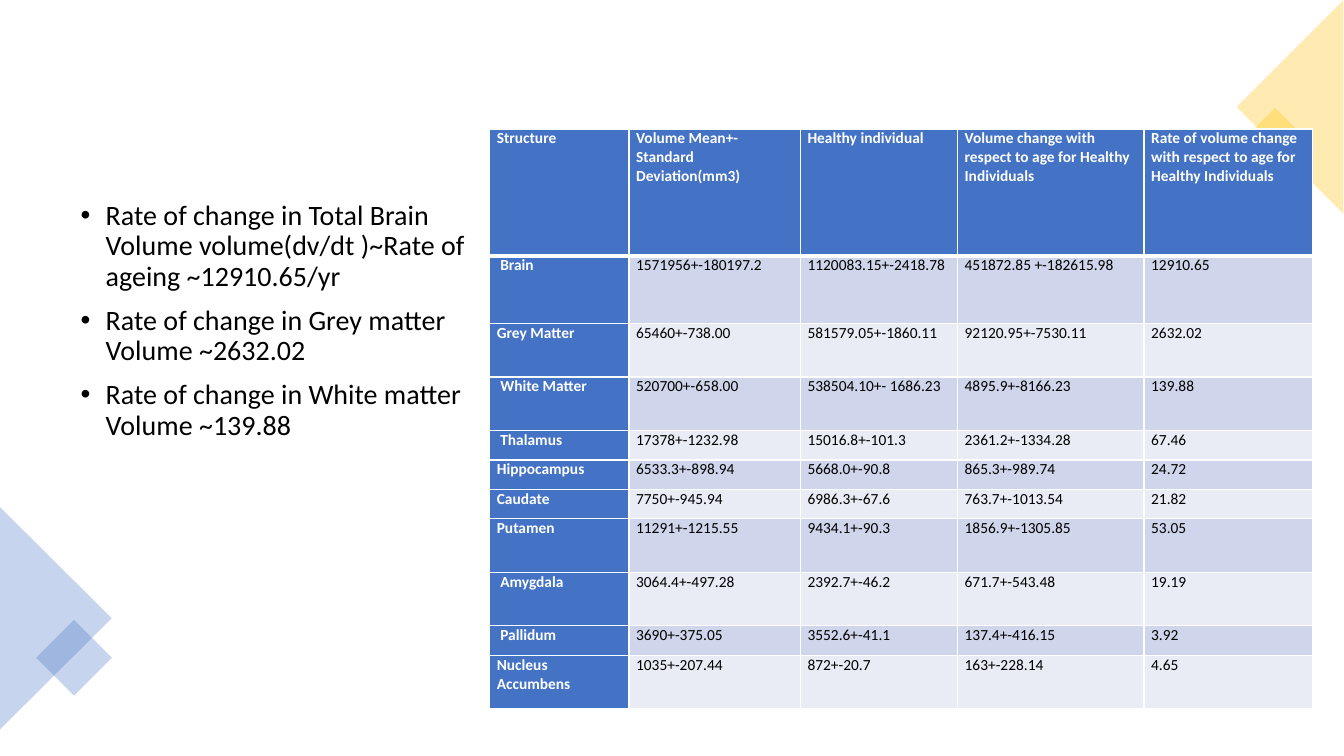
from lxml.etree import SubElement
from pptx import Presentation
from pptx.dml.color import RGBColor
from pptx.enum.shapes import MSO_SHAPE
from pptx.oxml.ns import qn
from pptx.util import Cm, Pt

BLUE, GOLD, WHITE, BLACK = "4472C4", "FFC000", "FFFFFF", "000000"
BANDS = ["E9EBF5", "CFD5EA"]

POINTS = [
    "Rate of change in Total Brain Volume volume(dv/dt )~Rate of ageing ~12910.65/yr",
    "Rate of change in Grey matter Volume ~2632.02",
    "Rate of change in White matter Volume ~139.88",
]
WIDTHS = [3.51, 4.32, 3.96, 4.7, 4.24]
TALL, LOW = 1.35, 0.74
ROWS = [
    (3.2, "Structure", "Volume Mean+-Standard Deviation(mm3)", "Healthy individual",
     "Volume change with respect to age for Healthy Individuals",
     "Rate of volume change with respect to age for Healthy Individuals"),
    (1.7, " Brain", "1571956+-180197.2", "1120083.15+-2418.78", "451872.85 +-182615.98", "12910.65"),
    (TALL, "Grey Matter", "65460+-738.00", "581579.05+-1860.11", "92120.95+-7530.11", "2632.02"),
    (TALL, " White Matter", "520700+-658.00", "538504.10+- 1686.23", "4895.9+-8166.23", "139.88"),
    (LOW, " Thalamus", "17378+-1232.98", "15016.8+-101.3", "2361.2+-1334.28", "67.46"),
    (LOW, "Hippocampus", "6533.3+-898.94", "5668.0+-90.8", "865.3+-989.74", "24.72"),
    (LOW, "Caudate", "7750+-945.94", "6986.3+-67.6", "763.7+-1013.54", "21.82"),
    (TALL, "Putamen", "11291+-1215.55", "9434.1+-90.3", "1856.9+-1305.85", "53.05"),
    (TALL, " Amygdala", "3064.4+-497.28", "2392.7+-46.2", "671.7+-543.48", "19.19"),
    (LOW, " Pallidum", "3690+-375.05", "3552.6+-41.1", "137.4+-416.15", "3.92"),
    (TALL, "Nucleus Accumbens", "1035+-207.44", "872+-20.7", "163+-228.14", "4.65"),
]


def paint(target, color):
    target.solid()
    target.fore_color.rgb = RGBColor.from_string(color)


class Page:
    face = "Calibri"

    def __init__(self, deck):
        self.slide = deck.slides.add_slide(deck.slide_layouts[6])

    def style(self, para, size, color, bold=False):
        font = para.font
        font.name, font.size, font.bold = self.face, Pt(size), bold
        paint(font.fill, color)

    def bullets(self, box, items):
        frame = self.slide.shapes.add_textbox(*map(Cm, box)).text_frame
        frame.word_wrap = True
        frame.text = "\n".join(items)
        for para in frame.paragraphs:
            para.line_spacing = 0.9
            para.space_before = Pt(10)
            self.style(para, 20, BLACK)
            props = para._p.get_or_add_pPr()
            props.set("marL", str(Pt(18)))
            props.set("indent", str(-Pt(18)))
            mark = SubElement(props, qn("a:buFont"))
            mark.set("typeface", "Arial")
            SubElement(props, qn("a:buChar")).set("char", "•")
            props.append(props.find(qn("a:defRPr")))

    def accent(self, kind, box, turn, color):
        shape = self.slide.shapes.add_shape(kind, *map(Cm, box))
        shape.rotation = turn
        shape.shadow.inherit = False
        shape.line.fill.background()
        paint(shape.fill, color)
        tone = shape.fill._xPr.find(qn("a:solidFill"))[0]
        SubElement(tone, qn("a:alpha")).set("val", "30000")

    def cell(self, cell, text, fill, color, bold, top, base):
        cell.text = text
        cell.margin_left = cell.margin_right = Cm(0.18)
        cell.margin_top = cell.margin_bottom = 0
        self.style(cell.text_frame.paragraphs[0], 11, color, bold)
        props = cell._tc.get_or_add_tcPr()
        for side, width in zip("LRTB", (1, 1, top, base)):
            line = SubElement(props, qn(f"a:ln{side}"), w=str(Pt(width)))
            tone = SubElement(line, qn("a:solidFill"))
            SubElement(tone, qn("a:srgbClr"), val=WHITE)
        paint(cell.fill, fill)

    def table(self, left, top, widths, rows):
        heights = [row[0] for row in rows]
        box = left, top, sum(widths), sum(heights)
        table = self.slide.shapes.add_table(len(rows), len(widths), *map(Cm, box)).table
        table.first_col = True
        for col, width in zip(table.columns, widths):
            col.width = Cm(width)
        for r, (height, *texts) in enumerate(rows):
            table.rows[r].height = Cm(height)
            for c, text in enumerate(texts):
                head = r == 0 or c == 0
                fill, color = (BLUE, WHITE) if head else (BANDS[r % 2], BLACK)
                self.cell(table.cell(r, c), text, fill, color, head,
                          3 if r == 1 else 1, 3 if r == 0 else 1)


def main():
    deck = Presentation()
    deck.slide_width, deck.slide_height = Cm(33.87), Cm(19.05)
    page = Page(deck)
    page.bullets((1.78, 4.95, 11.13, 12.22), POINTS)
    wedge, square = MSO_SHAPE.ISOSCELES_TRIANGLE, MSO_SHAPE.RECTANGLE
    page.accent(wedge, (-1.4, 14.17, 5.61, 2.82), 90, BLUE)
    page.accent(square, (1.19, 15.9, 1.35, 1.35), 45, BLUE)
    page.accent(square, (31.45, 3, 1.37, 1.37), 45, GOLD)
    page.accent(wedge, (29.82, 1.35, 5.38, 2.69), 270, GOLD)
    page.table(12.34, 3.25, WIDTHS, ROWS)
    deck.save("out.pptx")


if __name__ == "__main__":
    main()
